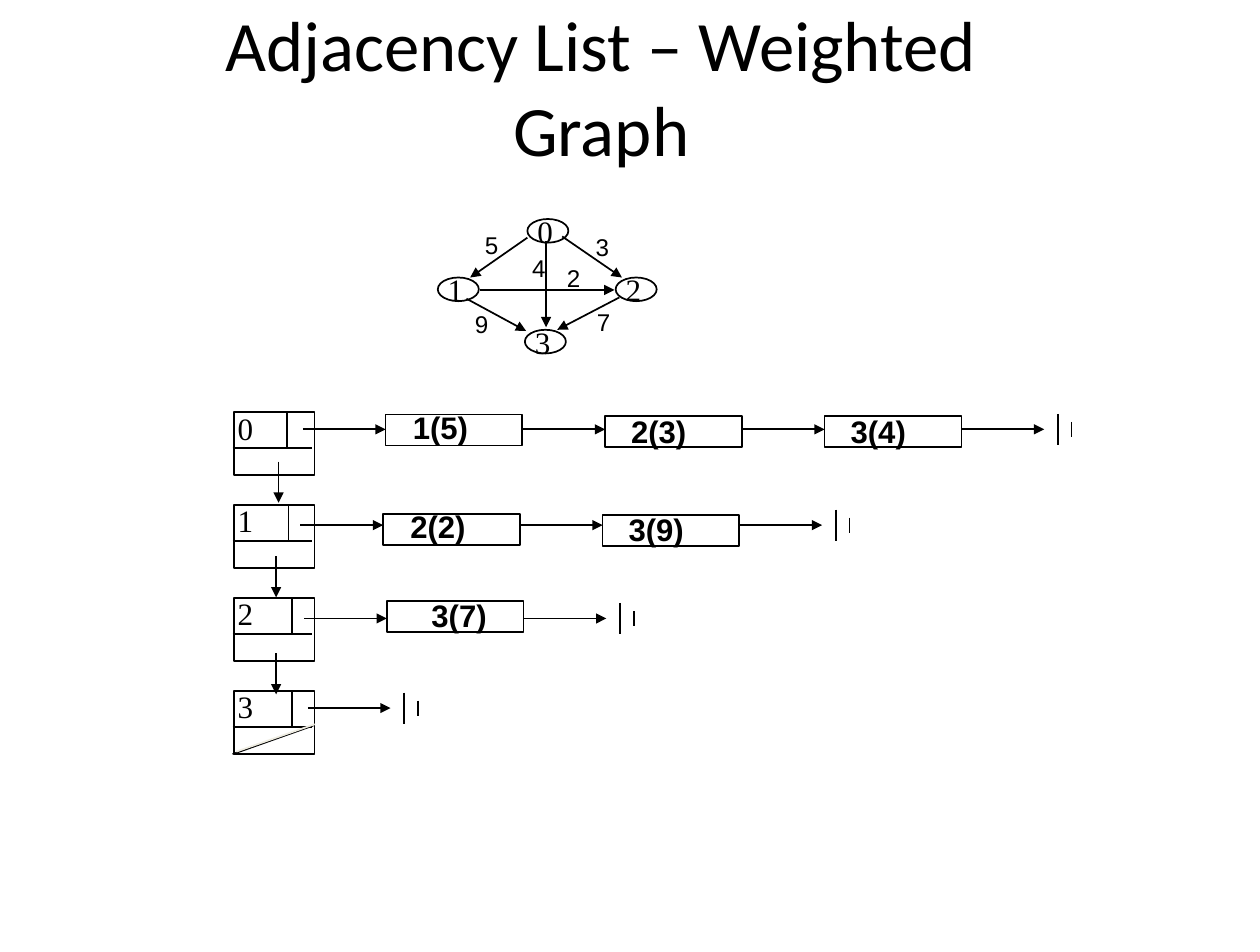
"""Builds a slide showing a weighted graph above its adjacency list."""
import pptx
import pptx.dml.color
import pptx.enum.shapes
import pptx.enum.text
import pptx.oxml.ns
import pptx.util
import lxml.etree

Inches, Pt = pptx.util.Inches, pptx.util.Pt
hex_color = pptx.dml.color.RGBColor.from_string
SHAPE = pptx.enum.shapes.MSO_SHAPE
qn = pptx.oxml.ns.qn

prs = pptx.Presentation()
prs.slide_width, prs.slide_height = Inches(10.13), Inches(7.65)
s = prs.slides.add_slide(prs.slide_layouts[6])


def line(x1, y1, x2, y2, arrow=False, color="000000"):
    sp = s.shapes.add_connector(
        pptx.enum.shapes.MSO_CONNECTOR.STRAIGHT,
        Inches(x1), Inches(y1), Inches(x2), Inches(y2))
    sp.line.color.rgb = hex_color(color)
    sp.line.width = Pt(1)
    if arrow:
        lxml.etree.SubElement(sp.line._get_or_add_ln(), qn("a:tailEnd"), type="triangle")
    lxml.etree.SubElement(sp._element.spPr, qn("a:effectLst"))


def write(text, x, y, w, h, size, font, inset=True, bold=False):
    sp = s.shapes.add_textbox(Inches(x), Inches(y), Inches(w), Inches(h))
    tf = sp.text_frame
    tf.word_wrap = False
    tf.auto_size = pptx.enum.text.MSO_AUTO_SIZE.SHAPE_TO_FIT_TEXT
    if not inset:
        tf.margin_left = tf.margin_right = tf.margin_top = tf.margin_bottom = 0
    p = tf.paragraphs[0]
    p.line_spacing = 0.9
    r = p.add_run()
    r.text = text
    r.font.size, r.font.name, r.font.bold = Pt(size), font, bold
    r.font.color.rgb = hex_color("000000")
    return sp


title = write("Adjacency List – Weighted Graph", 1.4, 0.49, 6.87, 0.4, 41, "Calibri")
tf = title.text_frame
tf.word_wrap = True
tf.auto_size = pptx.enum.text.MSO_AUTO_SIZE.NONE
tf.vertical_anchor = pptx.enum.text.MSO_ANCHOR.MIDDLE
tf.paragraphs[0].alignment = pptx.enum.text.PP_ALIGN.CENTER
tf.paragraphs[0].line_spacing = 1.0

nodes = [(4.24, 1.76), (3.52, 2.23), (4.95, 2.23), (4.22, 2.65)]
edges = [
    (4.24, 1.91, 3.78, 2.23), (4.52, 1.9, 5, 2.23), (4.98, 2.39, 4.48, 2.65),
    (3.75, 2.4, 4.23, 2.66), (3.86, 2.33, 4.94, 2.33), (4.39, 1.94, 4.39, 2.63),
]
weights = [("3", 4.69, 1.84), ("2", 4.46, 2.09), ("7", 4.7, 2.45),
           ("5", 3.8, 1.83), ("4", 4.18, 2.01), ("9", 3.72, 2.46)]

head_x, head_w, head_top, row_pitch = 1.88, 0.65, 3.31, 0.747
entry_w, entry_h, entry_pitch = 1.1, 0.25, 1.765
arrow_len = entry_pitch - entry_w
rows = [
    (3.1, 3.45, 2.31, [("1(5)", 3.33, 3.27, 0.12), ("2(3)", 3.34, 3.3, 0.11),
                       ("3(4)", 3.34, 3.3, 0.11)]),
    (3.08, 4.22, 2.32, [("2(2)", 4.13, 4.06, 0.12), ("3(9)", 4.14, 4.09, 0.11)]),
    (3.11, 4.97, 2.35, [("3(7)", 4.83, 4.78, 0.26)]),
    (3.14, 5.69, 2.35, []),
]

frames = [(SHAPE.OVAL, x, y, 0.33, 0.19, True) for x, y in nodes]
for i, (first_x, arrow_y, divider_x, entries) in enumerate(rows):
    frames.append((SHAPE.RECTANGLE, head_x, head_top + i * row_pitch, head_w, 0.51, True))
    for k, (label, box_y, text_y, indent) in enumerate(entries):
        frames.append((SHAPE.RECTANGLE, first_x + k * entry_pitch, box_y,
                       entry_w, entry_h, False))

for kind, x, y, w, h, filled in frames:
    sp = s.shapes.add_shape(kind, Inches(x), Inches(y), Inches(w), Inches(h))
    sp.shadow.inherit = False
    sp.line.color.rgb = hex_color("000000")
    sp.line.width = Pt(1)
    if filled:
        sp.fill.solid()
        sp.fill.fore_color.rgb = hex_color("FFFFFF")
    else:
        sp.fill.background()

for i, (x, y) in enumerate(nodes):
    write(str(i), x + 0.08, y - 0.02, 0.13, 0.27, 18, "Times New Roman", inset=False)
for edge in edges:
    line(*edge, arrow=True)
for label, x, y in weights:
    write(label, x, y, 0.31, 0.31, 14, "Arial")

for i, (first_x, arrow_y, divider_x, entries) in enumerate(rows):
    top = head_top + i * row_pitch
    write(str(i), 1.91, top + 0.01, 0.13, 0.27, 18, "Times New Roman", inset=False)
    line(1.87, top + 0.29, 2.51, top + 0.29)
    line(divider_x, top, divider_x, top + 0.29)
    for k, (label, box_y, text_y, indent) in enumerate(entries):
        write(label, first_x + k * entry_pitch + indent, text_y, 0.68, 0.37,
              18, "Arial", bold=True)
    for k in range(len(entries) + 1):
        arrow_end = first_x + k * entry_pitch
        line(arrow_end - arrow_len, arrow_y, arrow_end, arrow_y, arrow=True)
    for gap, half in ((0.11, 0.125), (0.22, 0.06)):
        line(arrow_end + gap, arrow_y - half, arrow_end + gap, arrow_y + half)

for x, y in ((2.24, 3.71), (2.22, 4.47), (2.22, 5.25)):
    line(x, y, x, y + 0.33, arrow=True)
line(2.52, 5.83, 1.87, 6.06)
line(2.53, 5.82, 1.9, 6.04, color="EEECE1")

prs.save("out.pptx")
